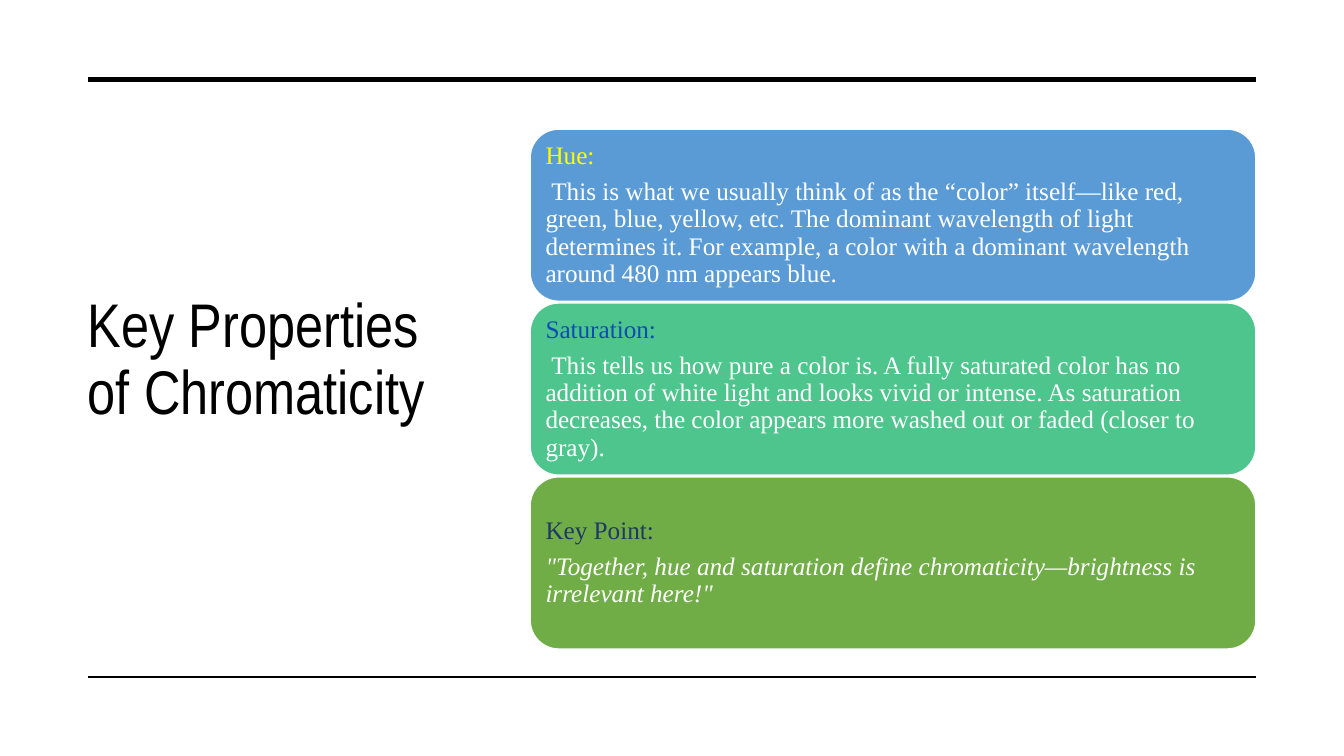
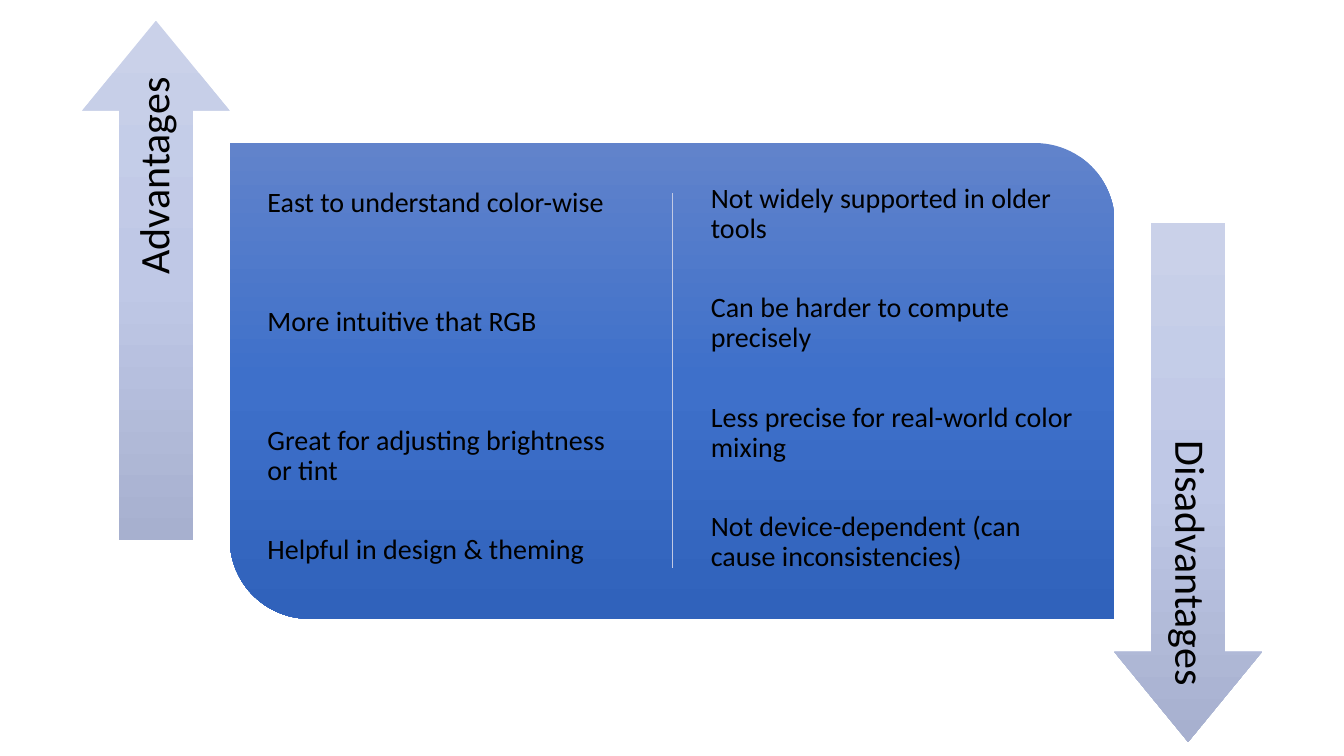
"""Build two slides on chromaticity: its key properties, then its pros and cons."""
from copy import deepcopy

from pptx import Presentation
from pptx.dml.color import RGBColor
from pptx.enum import shapes, text
from pptx.oxml.ns import qn
from pptx.util import Pt

COLORS = {
    "black": "000000", "white": "FFFFFF", "divider": "C1C9E4",
    "blue": "5B9BD5", "teal": "4DC58D", "green": "70AD47",
    "yellow": "FFFF00", "royal": "0E4CB2", "navy": "203864",
}
PANEL_GRADIENT = ("6183CB", "3E70CA", "3062BB")
ARROW_GRADIENT = ("CAD1E9", "BFC8E6", "A7B0CF")
TITLE_FONT, CARD_FONT, LIST_FONT = "Arial Narrow", "Times New Roman", "Calibri"

TITLE = "Key Properties of Chromaticity"
RULES = [(56.9, 3.5), (483.6, 1)]
CARDS = [
    ("blue", "yellow", "Hue:",
     " This is what we usually think of as the “color” itself—like red, green, blue, "
     "yellow, etc. The dominant wavelength of light determines it. For example, a color "
     "with a dominant wavelength around 480 nm appears blue.", False),
    ("teal", "royal", "Saturation:",
     " This tells us how pure a color is. A fully saturated color has no addition of "
     "white light and looks vivid or intense. As saturation decreases, the color appears "
     "more washed out or faded (closer to gray).", False),
    ("green", "navy", "Key Point:",
     '"Together, hue and saturation define chromaticity—brightness is irrelevant here!"',
     True),
]
CARD_TOP, CARD_HEIGHT, CARD_PITCH = 92.2, 123, 124.2

WIDE_GAP, NARROW_GAP = 63.5, 35
COLUMNS = [
    (185, 128.2, [
        ("East to understand color-wise", 0),
        ("More intuitive that RGB", WIDE_GAP),
        ("Great for adjusting brightness or tint", WIDE_GAP),
        ("Helpful in design & theming", NARROW_GAP)]),
    (501.8, 125.3, [
        ("Not widely supported in older tools", 0),
        ("Can be harder to compute precisely", NARROW_GAP),
        ("Less precise for real-world color mixing", NARROW_GAP),
        ("Not device-dependent (can cause inconsistencies)", NARROW_GAP)]),
]
ARROWS = [
    ("Advantages", shapes.MSO_SHAPE.UP_ARROW, 58.7, 14.8, 270, (111.3, 216.3)),
    ("Disadvantages", shapes.MSO_SHAPE.DOWN_ARROW, 796, 159, 90, (849.2, 328.7)),
]
ARROW_WIDTH, ARROW_HEIGHT = 105.4, 371
LABEL_WIDTH, LABEL_HEIGHT = 339, 52.6


def rgb(name):
    return RGBColor.from_string(COLORS[name])


def add_rule(slide, start, end, color, width):
    line = slide.shapes.add_connector(
        shapes.MSO_CONNECTOR.STRAIGHT, *(Pt(value) for value in start + end))
    line.line.color.rgb = rgb(color)
    line.line.width = Pt(width)
    properties = line._element.spPr
    properties.append(properties.makeelement(qn("a:effectLst"), {}))


def add_shape(slide, kind, box):
    shape = slide.shapes.add_shape(kind, *(Pt(value) for value in box))
    shape.shadow.inherit = False
    return shape


def fill_gradient(shape, colors):
    shape.fill.gradient()
    shape.fill.gradient_angle = 270
    stop_list = shape._element.spPr.find(qn("a:gradFill")).find(qn("a:gsLst"))
    stop_list.append(deepcopy(stop_list[0]))
    for index, (stop, color) in enumerate(zip(shape.fill.gradient_stops, colors)):
        stop.position = index / 2
        stop.color.rgb = RGBColor.from_string(color)
    shape.line.fill.background()


def write(shape, items, font, size, margin, anchor, align=text.PP_ALIGN.LEFT):
    """Fill a shape with (wording, color, space before, italic) paragraphs."""
    frame = shape.text_frame
    frame.word_wrap = True
    frame.vertical_anchor = anchor
    frame.margin_left = frame.margin_right = Pt(margin)
    frame.margin_top = frame.margin_bottom = Pt(margin)
    frame.text = "\n".join(item[0] for item in items)
    for paragraph, (_, color, gap, italic) in zip(frame.paragraphs, items):
        paragraph.alignment = align
        paragraph.line_spacing = 0.9
        if gap:
            paragraph.space_before = Pt(gap)
        for run in paragraph.runs:
            run.font.name = font
            run.font.size = Pt(size)
            run.font.color.rgb = rgb(color)
            run.font.italic = italic


def add_text(slide, box, items, *style):
    textbox = slide.shapes.add_textbox(*(Pt(value) for value in box))
    write(textbox, items, *style)
    return textbox


def build_properties(slide):
    middle = text.MSO_ANCHOR.MIDDLE
    add_text(slide, (55.7, 72, 288, 372), [(TITLE, "black", 0, False)],
             TITLE_FONT, 44, 7.2, middle)
    for y, width in RULES:
        add_rule(slide, (63.2, y), (897, y), "black", width)
    for index, (fill, heading_color, heading, body, italic) in enumerate(CARDS):
        top = CARD_TOP + index * CARD_PITCH
        card = add_shape(slide, shapes.MSO_SHAPE.ROUNDED_RECTANGLE,
                         (378.7, top, 518.4, CARD_HEIGHT))
        card.fill.solid()
        card.fill.fore_color.rgb = rgb(fill)
        card.line.color.rgb = rgb("white")
        card.line.width = Pt(1)
        write(card, [(heading, heading_color, 0, False), (body, "white", 6.5, italic)],
              CARD_FONT, 18, 5, middle)


def build_comparison(slide):
    panel = add_shape(slide, shapes.MSO_SHAPE.ROUND_2_DIAG_RECTANGLE,
                      (164.2, 102.2, 632, 339.8))
    panel.adjustments[0], panel.adjustments[1] = 0, 0.167
    fill_gradient(panel, PANEL_GRADIENT)
    add_rule(slide, (480.2, 138.2), (480.2, 406), "divider", 1)
    for left, top, points in COLUMNS:
        add_text(slide, (left, top, 273.6, 300),
                 [(wording, "black", gap, False) for wording, gap in points],
                 LIST_FONT, 20, 6, text.MSO_ANCHOR.TOP)
    for label, kind, left, top, rotation, (center_x, center_y) in ARROWS:
        arrow = add_shape(slide, kind, (left, top, ARROW_WIDTH, ARROW_HEIGHT))
        arrow.adjustments[0], arrow.adjustments[1] = 0.5, 0.61
        fill_gradient(arrow, ARROW_GRADIENT)
        box = (center_x - LABEL_WIDTH / 2, center_y - LABEL_HEIGHT / 2,
               LABEL_WIDTH, LABEL_HEIGHT)
        textbox = add_text(slide, box, [(label, "black", 0, False)], LIST_FONT, 30, 8.6,
                           text.MSO_ANCHOR.MIDDLE, text.PP_ALIGN.RIGHT)
        textbox.rotation = rotation


def main():
    presentation = Presentation()
    presentation.slide_width, presentation.slide_height = Pt(960), Pt(540)
    for build in (build_properties, build_comparison):
        build(presentation.slides.add_slide(presentation.slide_layouts[6]))
    presentation.save("out.pptx")


if __name__ == "__main__":
    main()
